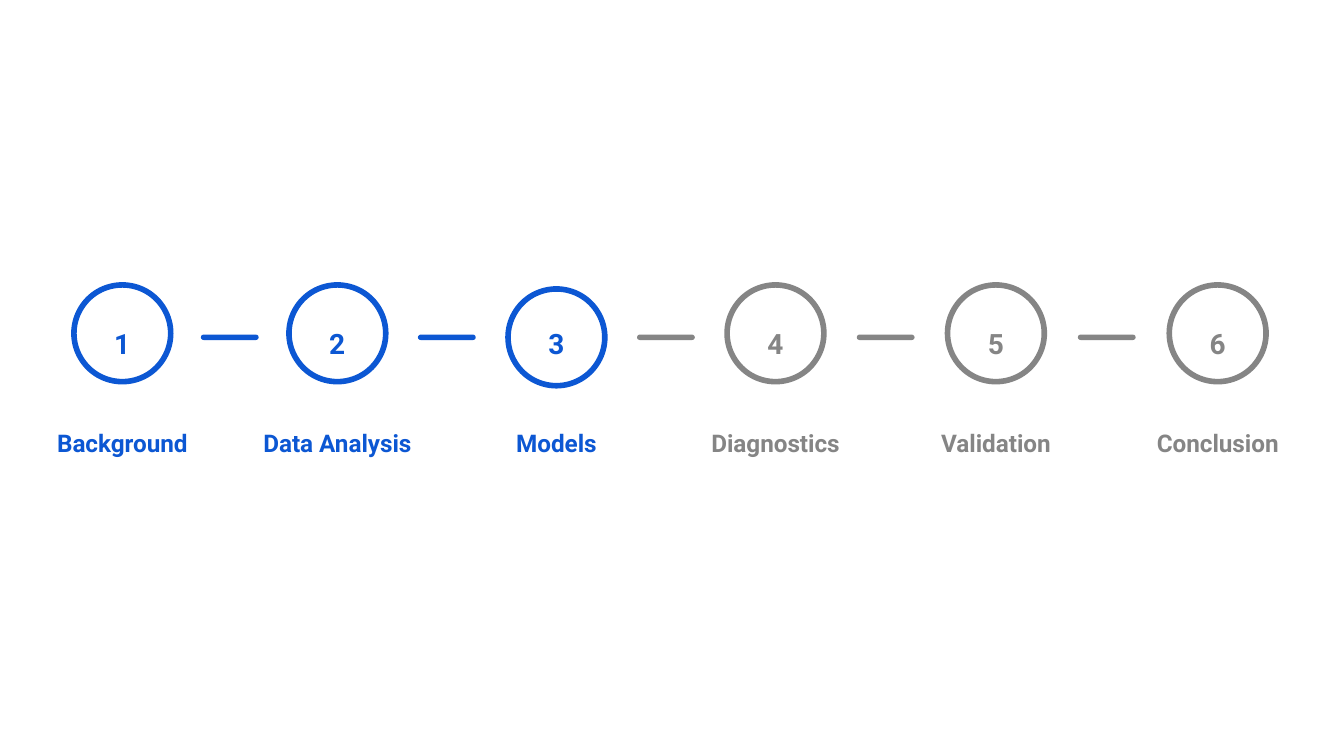
from itertools import pairwise

from pptx import Presentation
from pptx.dml.color import RGBColor
from pptx.enum.shapes import MSO_SHAPE
from pptx.enum.text import MSO_ANCHOR, PP_ALIGN
from pptx.util import Inches, Pt

BLUE = RGBColor(0x0C, 0x57, 0xD3)
GRAY = RGBColor(0x85, 0x85, 0x85)


class Stepper:
    font_name = "Roboto"
    diameter = 0.72
    dash_width = 0.43
    dash_height = 0.04

    def __init__(self, slide):
        self.slide = slide

    def dash(self, center, top, color):
        dash = self.slide.shapes.add_shape(
            MSO_SHAPE.ROUNDED_RECTANGLE,
            Inches(center - self.dash_width / 2), Inches(top),
            Inches(self.dash_width), Inches(self.dash_height))
        dash.adjustments[0] = 0.5
        dash.shadow.inherit = False
        dash.fill.solid()
        dash.fill.fore_color.rgb = color
        dash.line.fill.background()

    def ring(self, center, top, color):
        ring = self.slide.shapes.add_shape(
            MSO_SHAPE.OVAL,
            Inches(center - self.diameter / 2), Inches(top),
            Inches(self.diameter), Inches(self.diameter))
        ring.shadow.inherit = False
        ring.fill.background()
        ring.line.color.rgb = color
        ring.line.width = Pt(3)

    def text(self, content, center, top, width, height, size, color, anchor, space_after=0):
        box = self.slide.shapes.add_textbox(
            Inches(center - width / 2), Inches(top), Inches(width), Inches(height))
        frame = box.text_frame
        frame.word_wrap = True
        frame.vertical_anchor = anchor
        frame.margin_left = frame.margin_right = Inches(0.1)
        frame.margin_top = frame.margin_bottom = Inches(0.1)
        paragraph = frame.paragraphs[0]
        paragraph.alignment = PP_ALIGN.CENTER
        paragraph.line_spacing = 1.15
        paragraph.space_after = Pt(space_after)
        run = paragraph.add_run()
        run.text = content
        run.font.name = self.font_name
        run.font.size = Pt(size)
        run.font.bold = True
        run.font.color.rgb = color

    def step(self, number, title, center, ring_top, color):
        self.ring(center, ring_top, color)
        self.text(title, center, 2.96, 1.64, 0.54, 13, color, MSO_ANCHOR.BOTTOM)
        self.text(str(number), center, 2.29, 0.53, 0.39, 15, color, MSO_ANCHOR.TOP, 16)


def main():
    presentation = Presentation()
    presentation.slide_width = Inches(10)
    presentation.slide_height = Inches(10 * 9 / 16)
    stepper = Stepper(presentation.slides.add_slide(presentation.slide_layouts[6]))

    steps = [
        ("Background", 0.91, 2.12, BLUE),
        ("Data Analysis", 2.51, 2.12, BLUE),
        ("Models", 4.14, 2.15, BLUE),
        ("Diagnostics", 5.77, 2.12, GRAY),
        ("Validation", 7.41, 2.12, GRAY),
        ("Conclusion", 9.06, 2.12, GRAY),
    ]
    for (_, left, _, _), (_, right, _, color) in pairwise(steps):
        stepper.dash((left + right) / 2, 2.49, color)
    for number, (title, center, ring_top, color) in enumerate(steps, start=1):
        stepper.step(number, title, center, ring_top, color)

    presentation.save("out.pptx")


if __name__ == "__main__":
    main()
